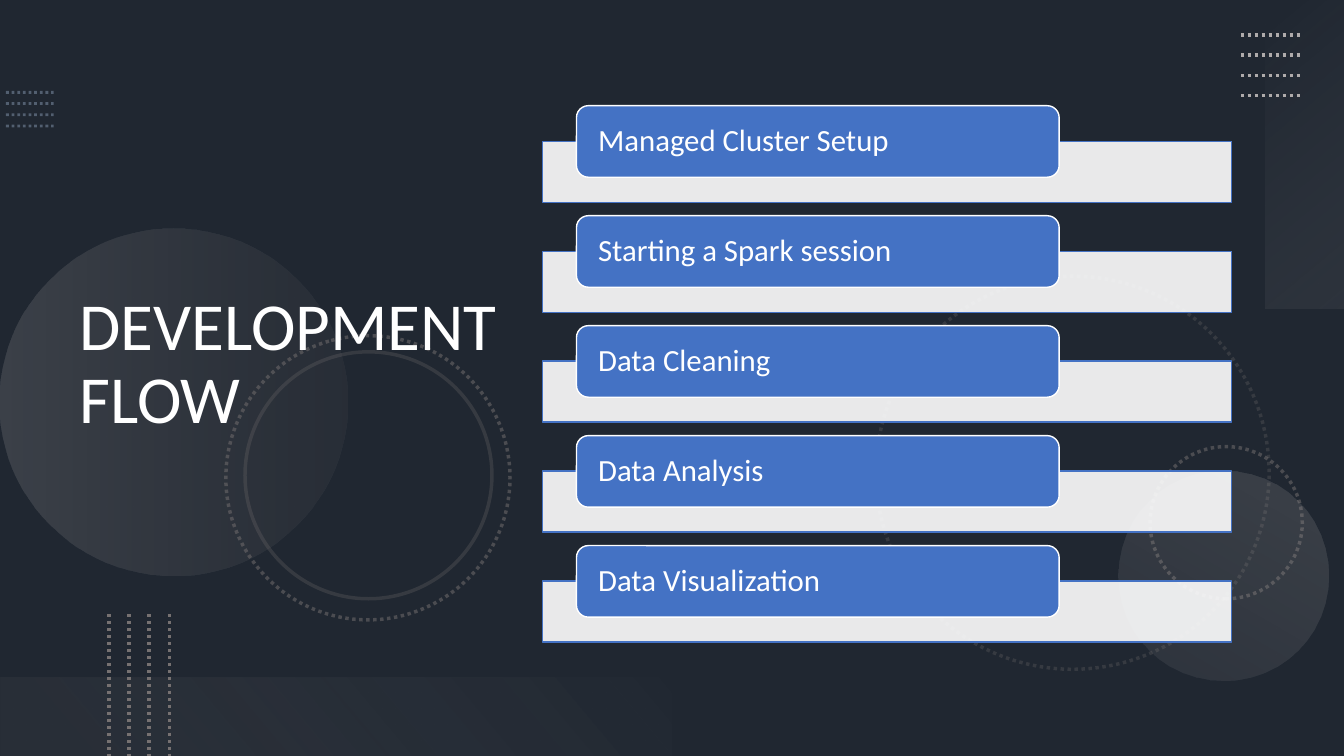
"""Builds the development flow slide."""
from lxml import etree
from pptx import Presentation
from pptx.dml.color import RGBColor
from pptx.enum.dml import MSO_LINE
from pptx.enum.shapes import MSO_CONNECTOR, MSO_SHAPE
from pptx.enum.text import MSO_ANCHOR, PP_ALIGN
from pptx.oxml.ns import qn
from pptx.util import Pt

RECT, ROUND, OVAL = MSO_SHAPE.RECTANGLE, MSO_SHAPE.ROUNDED_RECTANGLE, MSO_SHAPE.OVAL
LINE, DOTS = MSO_CONNECTOR.STRAIGHT, MSO_LINE.ROUND_DOT
MIDDLE, LEFT = MSO_ANCHOR.MIDDLE, PP_ALIGN.LEFT
WIDE, HIGH = 960, 540
COLORS = {
    "back": "44546A", "black": "000000", "white": "FFFFFF", "blue": "4472C4",
    "steel": "8497B0", "gray": "767171", "silver": "AFABAB",
    "pale": "F5F5F5", "mist": "F1F0F0",
}
STEPS = ["Managed Cluster Setup", "Starting a Spark session", "Data Cleaning",
         "Data Analysis", "Data Visualization"]


class Canvas:
    def __init__(self, slide, font):
        self.slide, self.font = slide, font
        fill = slide.background.fill
        fill.solid()
        fill.fore_color.rgb = self.color("back")

    def color(self, name):
        return RGBColor.from_string(COLORS[name])

    def fade(self, node, *alphas):
        for tone, alpha in zip(node.iter(qn("a:srgbClr")), alphas):
            etree.SubElement(tone, qn("a:alpha")).set("val", str(alpha * 1000))

    def stroke(self, line, color, width, dash=None, alpha=100):
        line.width = Pt(width)
        line.color.rgb = self.color(color)
        if dash:
            line.dash_style = dash
        if alpha < 100:
            self.fade(line.fill._xPr, alpha)

    def shape(self, kind, x, y, w, h, fill=None, alpha=100, turn=0):
        item = self.slide.shapes.add_shape(kind, Pt(x), Pt(y), Pt(w), Pt(h))
        item.shadow.inherit = False
        item.rotation = turn
        item.line.fill.background()
        if fill:
            item.fill.solid()
            item.fill.fore_color.rgb = self.color(fill)
            if alpha < 100:
                self.fade(item.fill._xPr, alpha)
        else:
            item.fill.background()
        return item

    def glow(self, kind, x, y, w, h, turn, angle, *stops):
        item = self.shape(kind, x, y, w, h, turn=turn)
        item.fill.gradient()
        item.fill.gradient_angle = 360 - angle
        for stop, (place, color, _) in zip(item.fill.gradient_stops, stops):
            stop.position = place
            stop.color.rgb = self.color(color)
        self.fade(item.fill._xPr, *(alpha for _, _, alpha in stops))

    def ring(self, x, y, size, turn, alpha, dash=DOTS):
        item = self.shape(OVAL, x, y, size, size, turn=turn)
        self.stroke(item.line, "gray", 2.5, dash, alpha)

    def rows(self, x, y, dx, dy, gap, color, width=2.5, alpha=100):
        for i in range(4):
            left = x + i * gap if dy else x
            top = y if dy else y + i * gap
            rule = self.slide.shapes.add_connector(
                LINE, Pt(left), Pt(top), Pt(left + dx), Pt(top + dy))
            self.stroke(rule.line, color, width, DOTS, alpha)
            etree.SubElement(rule._element.spPr, qn("a:effectLst"))

    def label(self, item, text, size, pad):
        frame = item.text_frame
        frame.text = text
        frame.word_wrap = True
        frame.vertical_anchor = MIDDLE
        frame.margin_left = frame.margin_right = Pt(pad)
        frame.margin_top = frame.margin_bottom = 0
        para = frame.paragraphs[0]
        para.alignment = LEFT
        para.line_spacing = 0.9
        para.font.name = self.font
        para.font.size = Pt(size)
        para.font.color.rgb = self.color("white")

    def title(self, text, x, y, w, h):
        box = self.slide.shapes.add_textbox(Pt(x), Pt(y), Pt(w), Pt(h))
        self.label(box, text, 48, 7.2)

    def step(self, text, y):
        bar = self.shape(RECT, 387.4, y + 25.4, 492.5, 43.6, "white", 90)
        self.stroke(bar.line, "blue", 1)
        tab = self.shape(ROUND, 411.8, y, 344.8, 51.1, "blue")
        self.stroke(tab.line, "white", 1)
        self.label(tab, text, 22, 13)


def main():
    deck = Presentation()
    deck.slide_width, deck.slide_height = Pt(WIDE), Pt(HIGH)
    page = Canvas(deck.slides.add_slide(deck.slide_layouts[6]), "Calibri")

    page.shape(RECT, 0, 0, WIDE, HIGH, "black", 53)
    page.rows(4.3, 66, 34, 0, 8, "steel", 2, 50)
    page.ring(625.7, 197.3, 280.8, 75, 25)
    page.ring(821.5, 319, 108.7, 270, 50)
    page.glow(OVAL, 0, 163, 248, 248, 270, 90,
              (0, "silver", 20), (1, "gray", 10))
    page.glow(OVAL, 799, 336.3, 150, 150, 210, 90,
              (0, "silver", 10), (1, "silver", 20))
    page.ring(161.3, 239.8, 203, 75, 50)
    page.ring(175, 251.3, 176.4, 75, 25, None)
    page.glow(RECT, 822, 82, 220.5, 56.2, 270, 140,
              (0, "pale", 0), (1, "silver", 10))
    page.rows(886.3, 25, 43.2, 0, 14.4, "silver")
    page.glow(RECT, 0, 483.8, 480, 56.2, 180, 140,
              (0.1, "gray", 10), (1, "mist", 0))
    page.rows(77.8, 438.5, 0, 101.5, 14.4, "gray")

    page.title("DEVELOPMENT FLOW", 49.7, 38.9, 330.5, 444.2)
    for i, text in enumerate(STEPS):
        page.step(text, 75.5 + i * 78.55)
    deck.save("out.pptx")


if __name__ == "__main__":
    main()
